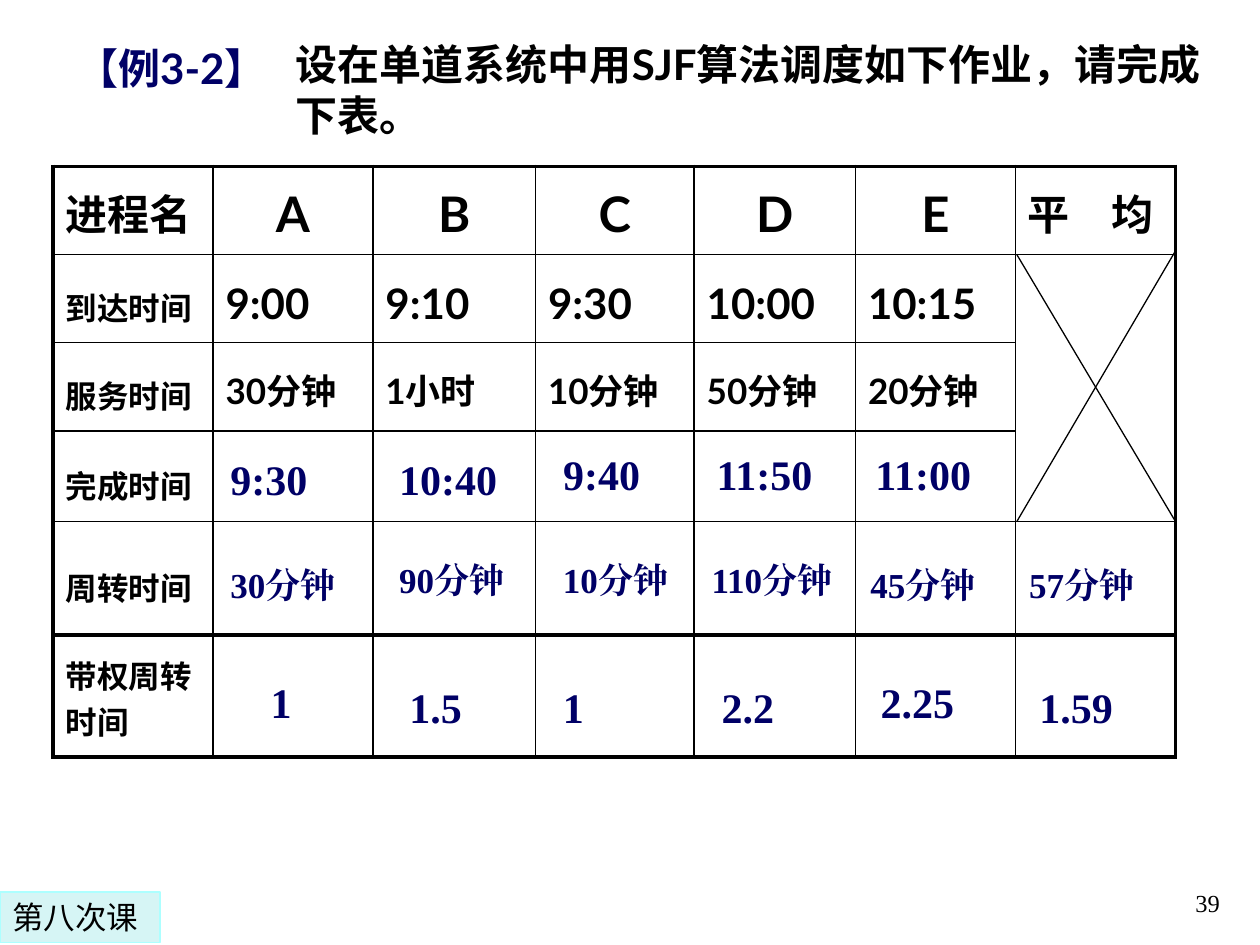
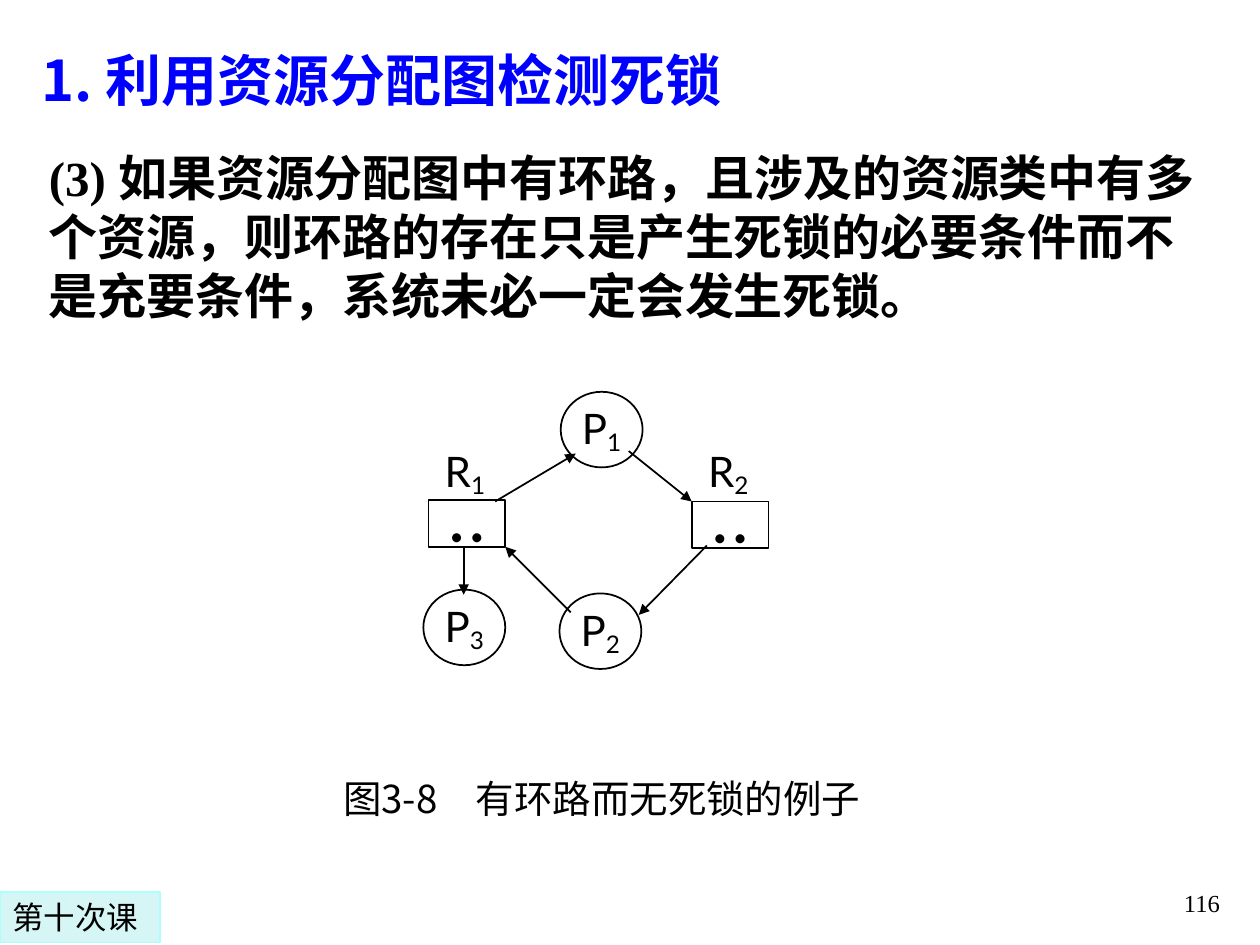
from lxml import etree
from pptx import Presentation
from pptx import util as u
from pptx.dml.color import RGBColor
from pptx.enum import shapes, text
from pptx.oxml.ns import qn
from pptx.util import Inches

COLORS = {"ink": "000000", "answer": "000066", "title": "0000FF", "paper": "FFFFFF",
          "tab": "D6F5F5", "tab_edge": "ADFFFF"}
SANS, SERIF, CJK, TAB_FONT = "Lato", "Times New Roman", "Noto Sans CJK SC", "DejaVu Sans"
LEFT, CENTER, RIGHT = text.PP_ALIGN.LEFT, text.PP_ALIGN.CENTER, text.PP_ALIGN.RIGHT
TOP, MIDDLE, BOTTOM = text.MSO_ANCHOR.TOP, text.MSO_ANCHOR.MIDDLE, text.MSO_ANCHOR.BOTTOM
THIN, THICK = 1, 2.25


def color(name):
    return RGBColor.from_string(COLORS[name])


class Deck:
    def __init__(self):
        self.prs = Presentation()
        self.prs.slide_width, self.prs.slide_height = Inches(10), Inches(7.5)
        self.slide = None

    def new_slide(self, number, lesson):
        """Start a slide with its page number and lesson tab."""
        self.slide = self.prs.slides.add_slide(self.prs.slide_layouts[6])
        self.label((7.7, 6.83, 2.08, 0.5), number, 14, SERIF, align=RIGHT, anchor=BOTTOM)
        self.box((0, 7.08, 1.27, 0.4), lesson, 18, TAB_FONT, fill="tab", edge="tab_edge",
                 weight=0.75)

    def set_text(self, frame, words, size, font, ink="ink", bold=False, align=LEFT,
                 anchor=TOP, wrap=True, subscript="", asian=None, leading=None):
        frame.word_wrap, frame.vertical_anchor = wrap, anchor
        para = frame.paragraphs[0]
        para.alignment = align
        if leading:
            para.line_spacing = u.Pt(leading)
        para.font.size, para.font.bold, para.font.name = u.Pt(size), bold, font
        para.font.color.rgb = color(ink)
        defaults = para._p.get_or_add_pPr().get_or_add_defRPr()
        etree.SubElement(defaults, qn("a:ea")).set("typeface", asian or font)
        if words:
            para.add_run().text = words
        if subscript:
            low = para.add_run()
            low.text = subscript
            low._r.get_or_add_rPr().set("baseline", "-16000")

    def label(self, place, words, size, font, **style):
        frame = self.slide.shapes.add_textbox(*map(Inches, place)).text_frame
        self.set_text(frame, words, size, font, **style)

    def box(self, place, words, size, font, kind=shapes.MSO_SHAPE.RECTANGLE, fill=None,
            edge=None, weight=1, insets=None, **style):
        shape = self.slide.shapes.add_shape(kind, *map(Inches, place))
        shape.shadow.inherit = False
        if fill:
            shape.fill.solid()
            shape.fill.fore_color.rgb = color(fill)
        else:
            shape.fill.background()
        if edge:
            shape.line.color.rgb, shape.line.width = color(edge), u.Pt(weight)
        else:
            shape.line.fill.background()
        frame = shape.text_frame
        if insets:
            frame.margin_left = frame.margin_right = Inches(insets[0])
            frame.margin_top = frame.margin_bottom = Inches(insets[1])
        self.set_text(frame, words, size, font, **style)

    def node(self, place, words, **style):
        """A process or resource of the allocation graph."""
        self.box(place, words, 24, SANS, edge="ink", insets=(0.06, 0.01), align=CENTER,
                 anchor=MIDDLE, wrap=False, **style)

    def line(self, start, end, weight=1, arrow=False):
        link = self.slide.shapes.add_connector(
            shapes.MSO_CONNECTOR.STRAIGHT, *map(Inches, start + end))
        link.line.color.rgb, link.line.width = color("ink"), u.Pt(weight)
        props = link._element.spPr
        if arrow:
            etree.SubElement(props.find(qn("a:ln")), qn("a:tailEnd")).set("type", "triangle")
        etree.SubElement(props, qn("a:effectLst"))

    def table(self, left, top, widths, heights):
        grid = self.slide.shapes.add_table(
            len(heights), len(widths), Inches(left), Inches(top),
            Inches(sum(widths)), Inches(sum(heights))).table
        grid.first_row = grid.horz_banding = False
        for column, width in zip(grid.columns, widths):
            column.width = Inches(width)
        for row, height in zip(grid.rows, heights):
            row.height = Inches(height)
        return grid

    def borders(self, cell, **weights):
        props = cell._tc.get_or_add_tcPr()
        for position, (side, weight) in enumerate(weights.items()):
            edge = etree.Element(qn("a:ln" + side), w=str(u.Pt(weight)))
            paint = etree.SubElement(edge, qn("a:solidFill"))
            etree.SubElement(paint, qn("a:srgbClr")).set("val", COLORS["ink"])
            props.insert(position, edge)


def scheduling_slide(deck):
    deck.new_slide("39", "第八次课")
    deck.label((0.47, 0.29, 1.78, 0.5), "【例3-2】", 24, SANS, ink="answer", bold=True,
               align=CENTER)
    deck.box((2.25, 0.26, 7.42, 0.91), "设在单道系统中用SJF算法调度如下作业，请完成下表。",
             24, SANS, fill="paper", bold=True)

    # Job table: words, label size, value size, label and value top margins
    jobs = [
        (["进程名", "A", "B", "C", "D", "E", "平　均"], 24, 28, 0.08, 0.1),
        (["到达时间", "9:00", "9:10", "9:30", "10:00", "10:15"], 18, 24, 0.18, 0.12),
        (["服务时间", "30分钟", "1小时", "10分钟", "50分钟", "20分钟"], 18, 20, 0.18, 0.08),
        (["完成时间"], 18, 18, 0.18, 0.05),
        (["周转时间"], 18, 18, 0.18, 0.05),
        (["带权周转时间"], 18, 18, 0.08, 0.05),
    ]
    widths = [1.27, 1.27, 1.29, 1.26, 1.28, 1.27, 1.27]
    grid = deck.table(0.42, 1.32, widths, [0.7, 0.7, 0.7, 0.72, 0.9, 0.97])
    last_row, last_col = len(jobs) - 1, len(widths) - 1
    for r, (words, label_size, value_size, label_top, value_top) in enumerate(jobs):
        for c in range(len(widths)):
            cell = grid.cell(r, c)
            cell.fill.background()
            is_label = c in (0, last_col)
            cell.margin_top = Inches(label_top if is_label else value_top)
            deck.set_text(cell.text_frame, words[c] if c < len(words) else "",
                          label_size if is_label else value_size, SANS, bold=True,
                          asian=CJK, align=CENTER if r == 0 and not is_label else LEFT)
            cell.vertical_anchor = MIDDLE
            deck.borders(cell, L=THICK if c == 0 else THIN,
                         R=THICK if c == last_col else THIN,
                         T=THICK if r in (0, last_row) else THIN,
                         B=THICK if r >= last_row - 1 else THIN)
    grid.cell(1, last_col).merge(grid.cell(3, last_col))

    # Cross over the unused averages
    deck.line((9.33, 1.99), (8.07, 4.14), 0.75)
    deck.line((8.07, 2.02), (9.33, 4.14), 0.75)

    # Answers: size, height, then (words, left, top, width)
    answers = [
        (24, 0.5, [("9:30", 1.73, 3.55, 1.18), ("10:40", 3.07, 3.55, 1),
                   ("9:40", 4.37, 3.51, 0.85), ("11:50", 5.59, 3.51, 1),
                   ("11:00", 6.85, 3.51, 1)]),
        (20, 0.44, [("30分钟", 1.73, 4.42, 1.14), ("90分钟", 3.07, 4.38, 1.14),
                    ("10分钟", 4.37, 4.38, 1.14), ("110分钟", 5.55, 4.38, 1.46),
                    ("45分钟", 6.81, 4.42, 1.14), ("57分钟", 8.07, 4.42, 1.14)]),
        (24, 0.5, [("1", 2.05, 5.32, 0.51), ("1.5", 3.15, 5.36, 0.83),
                   ("1", 4.37, 5.36, 0.83), ("2.2", 5.63, 5.36, 0.83),
                   ("2.25", 6.89, 5.32, 0.83), ("1.59", 8.15, 5.36, 0.83)]),
    ]
    for size, height, entries in answers:
        for words, left, top, width in entries:
            deck.label((left, top, width, height), words, size, SERIF, ink="answer",
                       bold=True)


def deadlock_slide(deck):
    deck.new_slide("116", "第十次课")
    deck.label((0.23, 0.32, 9.23, 0.64), "1. 利用资源分配图检测死锁", 32, CJK,
               ink="title", bold=True, leading=38)
    deck.label((0.29, 1.12, 9.49, 1.51),
               "(3) 如果资源分配图中有环路，且涉及的资源类中有多个资源，则环路的存在只是"
               "产生死锁的必要条件而不是充要条件，系统未必一定会发生死锁。",
               28, SERIF, bold=True, asian=SANS)

    # Processes
    for number, left, top in [("1", 4.45, 3.11), ("2", 4.44, 4.71), ("3", 3.36, 4.68)]:
        deck.node((left, top, 0.65, 0.6), "P", subscript=number,
                  kind=shapes.MSO_SHAPE.OVAL)

    # Resources with two units each
    for number, left, top in [("1", 3.4, 3.97), ("2", 5.49, 3.98)]:
        deck.node((left, top, 0.61, 0.37), "", subscript="• •")
        deck.label((left - 0.15, 3.49, 0.88, 0.5), "R", 24, SANS, align=CENTER,
                   subscript=number)

    # Requests and allocations
    for start, end in [((3.93, 3.98), (4.57, 3.6)), ((4.99, 3.58), (5.49, 3.98)),
                       ((3.68, 4.35), (3.68, 4.72)), ((4.53, 4.86), (4.01, 4.34)),
                       ((5.61, 4.33), (5.07, 4.88))]:
        deck.line(start, end, arrow=True)

    deck.label((2.44, 6.11, 4.67, 0.47), "图3-8　有环路而无死锁的例子", 22, CJK,
               align=CENTER, leading=26)


def main():
    deck = Deck()
    scheduling_slide(deck)
    deadlock_slide(deck)
    deck.prs.save("out.pptx")


if __name__ == "__main__":
    main()
